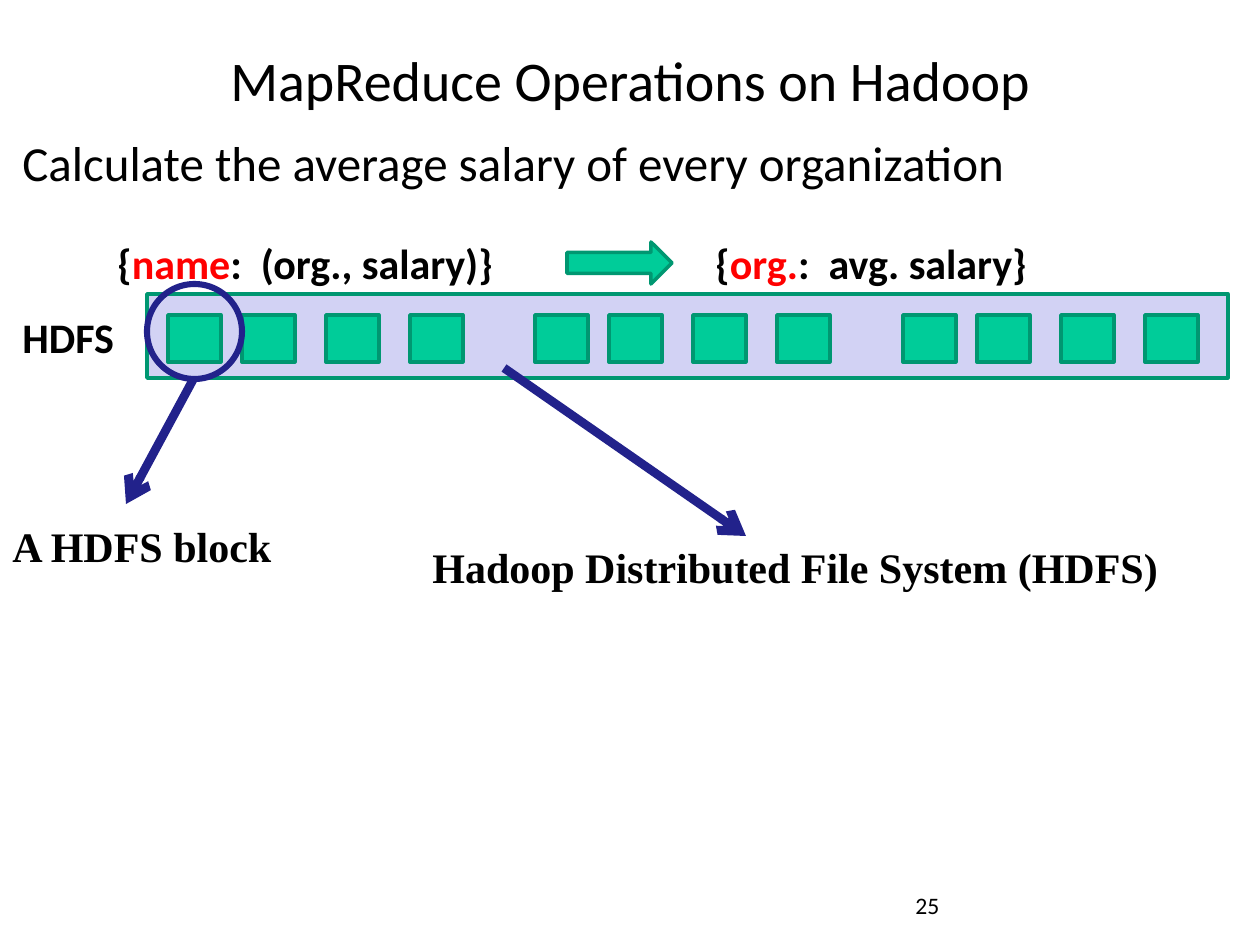
from pptx import Presentation
from pptx import util as u
from pptx.dml.color import RGBColor
from pptx.enum import shapes, text
from pptx.oxml.ns import qn
from lxml import etree

BLACK = RGBColor(0x00, 0x00, 0x00)
RED = RGBColor(0xFF, 0x00, 0x00)
GREEN = RGBColor(0x00, 0xCC, 0x99)
DARK_GREEN = RGBColor(0x00, 0x97, 0x71)
LAVENDER = RGBColor(0xD2, 0xD2, 0xF4)
NAVY = RGBColor(0x22, 0x22, 0x8B)
SANS, SERIF = "Calibri", "Times New Roman"
PIXELS_PER_INCH = 126


def px(length):
    return u.Emu(round(length * u.Inches(1) / PIXELS_PER_INCH))


def write(frame, content, size=24, font=SANS, bold=False, align=text.PP_ALIGN.LEFT,
          anchor=text.MSO_ANCHOR.TOP, wrap=True):
    """Fill a text frame; content is a string or a list of (string, colour) runs."""
    frame.word_wrap = wrap
    frame.auto_size = text.MSO_AUTO_SIZE.NONE
    frame.vertical_anchor = anchor
    paragraph = frame.paragraphs[0]
    paragraph.alignment = align
    runs = [(content, BLACK)] if isinstance(content, str) else content
    for words, colour in runs:
        run = paragraph.add_run()
        run.text = words
        run.font.name = font
        run.font.size = u.Pt(size)
        run.font.bold = bold
        run.font.color.rgb = colour


class SlideBuilder:
    """Holds the slide being built and the style its elements share."""

    def __init__(self, slide, line_colour=DARK_GREEN, accent=NAVY):
        self.slide = slide
        self.line_colour = line_colour
        self.accent = accent

    def title(self, content, left, top, width, height):
        shape = self.slide.shapes.title
        shape.left, shape.top = px(left), px(top)
        shape.width, shape.height = px(width), px(height)
        write(shape.text_frame, content, size=32, align=text.PP_ALIGN.CENTER,
              anchor=text.MSO_ANCHOR.MIDDLE)

    def text(self, content, left, top, width, height, **style):
        box = self.slide.shapes.add_textbox(px(left), px(top), px(width), px(height))
        write(box.text_frame, content, **style)

    def shape(self, kind, left, top, width, height, fill=None, line=None, weight=2):
        """Add a preset shape; without a fill colour it is hollow."""
        shape = self.slide.shapes.add_shape(
            kind, px(left), px(top), px(width), px(height))
        shape.shadow.inherit = False
        if fill is None:
            shape.fill.background()
        else:
            shape.fill.solid()
            shape.fill.fore_color.rgb = fill
        shape.line.color.rgb = line or self.line_colour
        shape.line.width = u.Pt(weight)

    def arrow(self, start, end):
        connector = self.slide.shapes.add_connector(
            shapes.MSO_CONNECTOR.STRAIGHT, *map(px, start + end))
        connector.line.color.rgb = self.accent
        connector.line.width = u.Pt(5)
        line = connector.line._get_or_add_ln()
        etree.SubElement(line, qn("a:tailEnd"), type="arrow")
        etree.SubElement(connector._element.spPr, qn("a:effectLst"))


def main():
    presentation = Presentation()
    presentation.slide_width, presentation.slide_height = px(1260), px(945)
    slide = presentation.slides.add_slide(presentation.slide_layouts[5])
    builder = SlideBuilder(slide)
    kinds = shapes.MSO_SHAPE

    # File system bar with three groups of four blocks
    builder.shape(kinds.RECTANGLE, 147, 294, 1081, 84, fill=LAVENDER)
    for group_left in (168, 535, 903):
        for offset in (0, 74, 158, 242):
            builder.shape(kinds.RECTANGLE, group_left + offset, 315, 53, 47, fill=GREEN)
    builder.text("HDFS", 10, 305, 118, 63, bold=True, wrap=False)

    builder.title("MapReduce Operations on Hadoop", 32, 32, 1197, 94)
    builder.text("Calculate the average salary of every organization",
                 10, 126, 1250, 651, size=28)

    # Input pairs become output pairs
    builder.text([("{", BLACK), ("name", RED), (":  (org., salary)}", BLACK)],
                 105, 231, 483, 63, bold=True)
    builder.shape(kinds.RIGHT_ARROW, 567, 242, 105, 42, fill=GREEN)
    builder.text([("{", BLACK), ("org.", RED), (":  avg. salary}", BLACK)],
                 703, 231, 483, 63, bold=True)

    # Callouts
    builder.shape(kinds.OVAL, 147, 284, 95, 95, line=NAVY, weight=3.5)
    builder.arrow((194, 378), (126, 504))
    builder.text("A HDFS block", 0, 514, 291, 63, font=SERIF, bold=True, wrap=False)
    builder.arrow((504, 368), (746, 536))
    builder.text("Hadoop Distributed File System (HDFS)", 420, 535, 766, 63,
                 font=SERIF, bold=True)

    builder.text("25", 903, 885, 294, 50, size=13.5)
    presentation.save("out.pptx")


if __name__ == "__main__":
    main()
